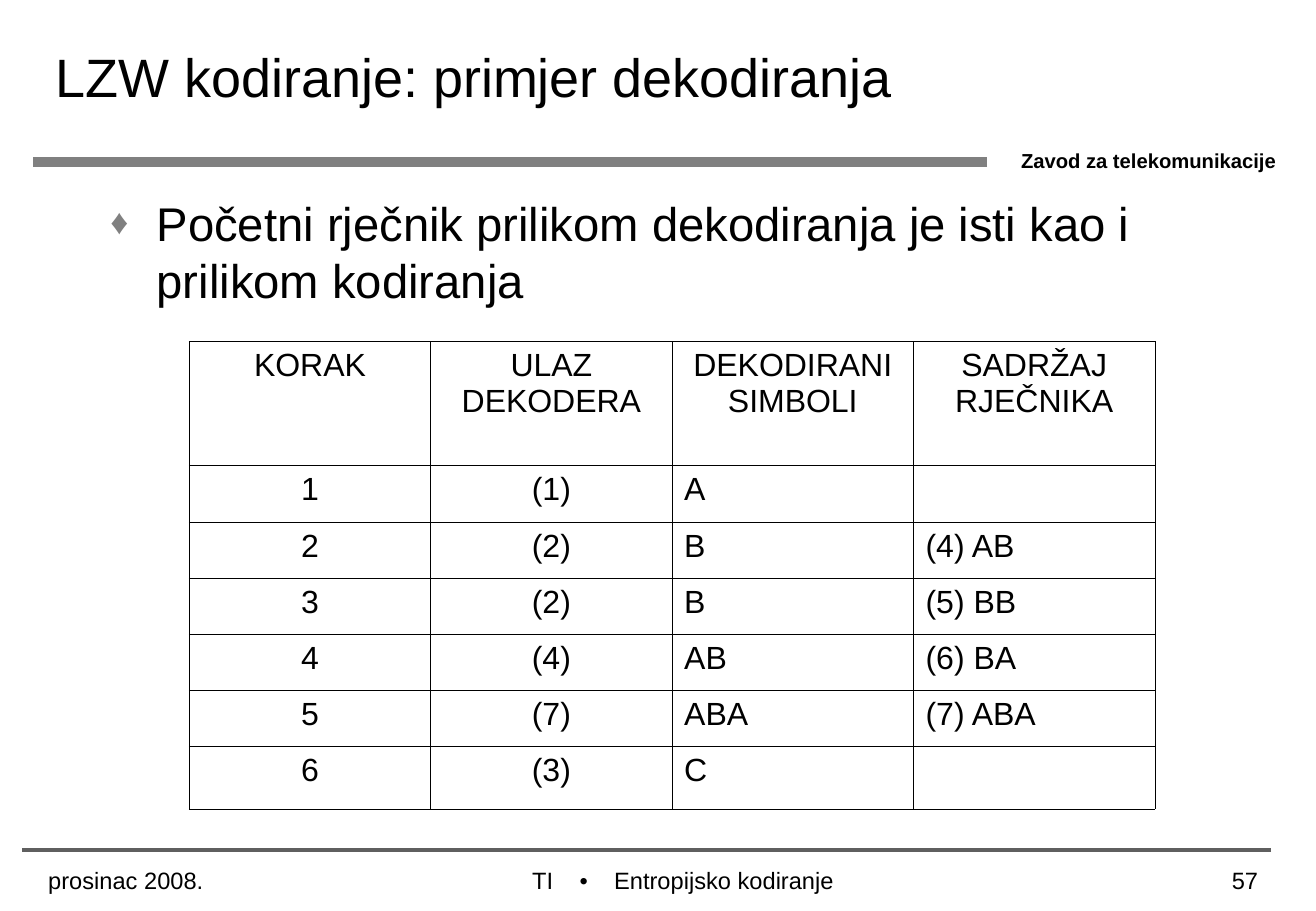
from dataclasses import dataclass

from lxml.etree import SubElement
from pptx import Presentation
from pptx.dml.color import RGBColor
from pptx.enum.shapes import MSO_CONNECTOR as Connector
from pptx.enum.text import MSO_ANCHOR as Anchor, PP_ALIGN as Align
from pptx.oxml.ns import qn
from pptx.util import Cm, Pt

# Content
TITLE = "LZW kodiranje: primjer dekodiranja"
DEPARTMENT = "Zavod za telekomunikacije"
STATEMENT = "Početni rječnik prilikom dekodiranja je isti kao i prilikom kodiranja"
DATE = "prosinac 2008."
FOOTER_PARTS = ["TI", "•", "Entropijsko kodiranje"]
PAGE_NUMBER = "57"
DECODING_STEPS = [
    ("KORAK", "ULAZ DEKODERA", "DEKODIRANI SIMBOLI", "SADRŽAJ RJEČNIKA"),
    ("1", "(1)", "A", ""),
    ("2", "(2)", "B", "(4) AB"),
    ("3", "(2)", "B", "(5) BB"),
    ("4", "(4)", "AB", "(6) BA"),
    ("5", "(7)", "ABA", "(7) ABA"),
    ("6", "(3)", "C", ""),
]
CENTERED_COLUMNS = 2


@dataclass(frozen=True)
class Theme:
    font: str = "Arial"
    text: str = "000000"
    accent: str = "808080"
    footer_rule: str = "5F5F5F"
    title_size: float = 32
    body_size: float = 28
    table_size: float = 19
    footer_size: float = 14
    department_size: float = 12
    border_width: float = 0.45


THEME = Theme()

presentation = Presentation()
presentation.slide_width, presentation.slide_height = Cm(27.53), Cm(19.05)
slide = presentation.slides.add_slide(presentation.slide_layouts[6])


def add_run(paragraph, text, size, bold=False):
    run = paragraph.add_run()
    run.text = text
    run.font.name = THEME.font
    run.font.size = Pt(size)
    run.font.bold = bold
    run.font.color.rgb = RGBColor.from_string(THEME.text)
    return run


def add_text_box(left, top, width, height, align=Align.LEFT, anchor=Anchor.TOP):
    box = slide.shapes.add_textbox(Cm(left), Cm(top), Cm(width), Cm(height))
    frame = box.text_frame
    frame.word_wrap = True
    frame.vertical_anchor = anchor
    paragraph = frame.paragraphs[0]
    paragraph.alignment = align
    return paragraph


def add_rule(left, right, y, color, width):
    rule = slide.shapes.add_connector(
        Connector.STRAIGHT, Cm(left), Cm(y), Cm(right), Cm(y))
    rule.line.color.rgb = RGBColor.from_string(color)
    rule.line.width = Pt(width)
    SubElement(rule._element.spPr, qn("a:effectLst"))


def add_bullet(paragraph, character, indent):
    properties = paragraph._p.get_or_add_pPr()
    properties.set("marL", str(Cm(indent)))
    properties.set("indent", str(-Cm(indent)))
    color = SubElement(properties, qn("a:buClr"))
    SubElement(color, qn("a:srgbClr"), val=THEME.accent)
    SubElement(properties, qn("a:buSzPct"), val="75000")
    SubElement(properties, qn("a:buFont"), typeface=THEME.font)
    SubElement(properties, qn("a:buChar"), char=character)


def set_borders(cell):
    properties = cell._tc.get_or_add_tcPr()
    for position, side in enumerate(("lnL", "lnR", "lnT", "lnB")):
        line = SubElement(properties, qn(f"a:{side}"),
                          w=str(Pt(THEME.border_width)))
        fill = SubElement(line, qn("a:solidFill"))
        SubElement(fill, qn("a:srgbClr"), val=THEME.text)
        properties.insert(position, line)


# Header
add_rule(20.65, 0.69, 3.38, THEME.accent, 6)
department = add_text_box(21.11, 2.97, 6.42, 0.76)
add_run(department, DEPARTMENT, THEME.department_size, bold=True)
title = add_text_box(0.91, 0, 23.39, 3.18, anchor=Anchor.MIDDLE)
add_run(title, TITLE, THEME.title_size)

# Statement
statement = add_text_box(2.06, 3.94, 23.39, 2.79)
add_bullet(statement, "♦", 0.97)
add_run(statement, STATEMENT, THEME.body_size)

# Decoding table
row_heights = [2.59, 1.19] + [1.17] * 4 + [1.32]
table = slide.shapes.add_table(
    len(DECODING_STEPS), len(DECODING_STEPS[0]),
    Cm(3.96), Cm(7.14), Cm(20.2), Cm(sum(row_heights))).table
table.first_row = table.horz_banding = False
for row, height in zip(table.rows, row_heights):
    row.height = Cm(height)
for row_index, step in enumerate(DECODING_STEPS):
    for column_index, text in enumerate(step):
        cell = table.cell(row_index, column_index)
        cell.fill.background()
        set_borders(cell)
        if text:
            centered = row_index == 0 or column_index < CENTERED_COLUMNS
            paragraph = cell.text_frame.paragraphs[0]
            paragraph.alignment = Align.CENTER if centered else Align.LEFT
            add_run(paragraph, text, THEME.table_size)

# Footer
add_rule(26.59, 0.46, 17.78, THEME.footer_rule, 2.25)
footer = add_text_box(6.35, 17.98, 15.88, 0.64, Align.CENTER)
for index, part in enumerate(FOOTER_PARTS):
    if index:
        gap = add_run(footer, " ", THEME.footer_size)
        gap.font._element.set("spc", "1170")  # widen the single space
    add_run(footer, part, THEME.footer_size)
page_number = add_text_box(23.09, 17.98, 3.48, 1.07, Align.RIGHT)
add_run(page_number, PAGE_NUMBER, THEME.footer_size)
date = add_text_box(0.76, 17.98, 4.95, 1.07)
add_run(date, DATE, THEME.footer_size)

presentation.save("out.pptx")
